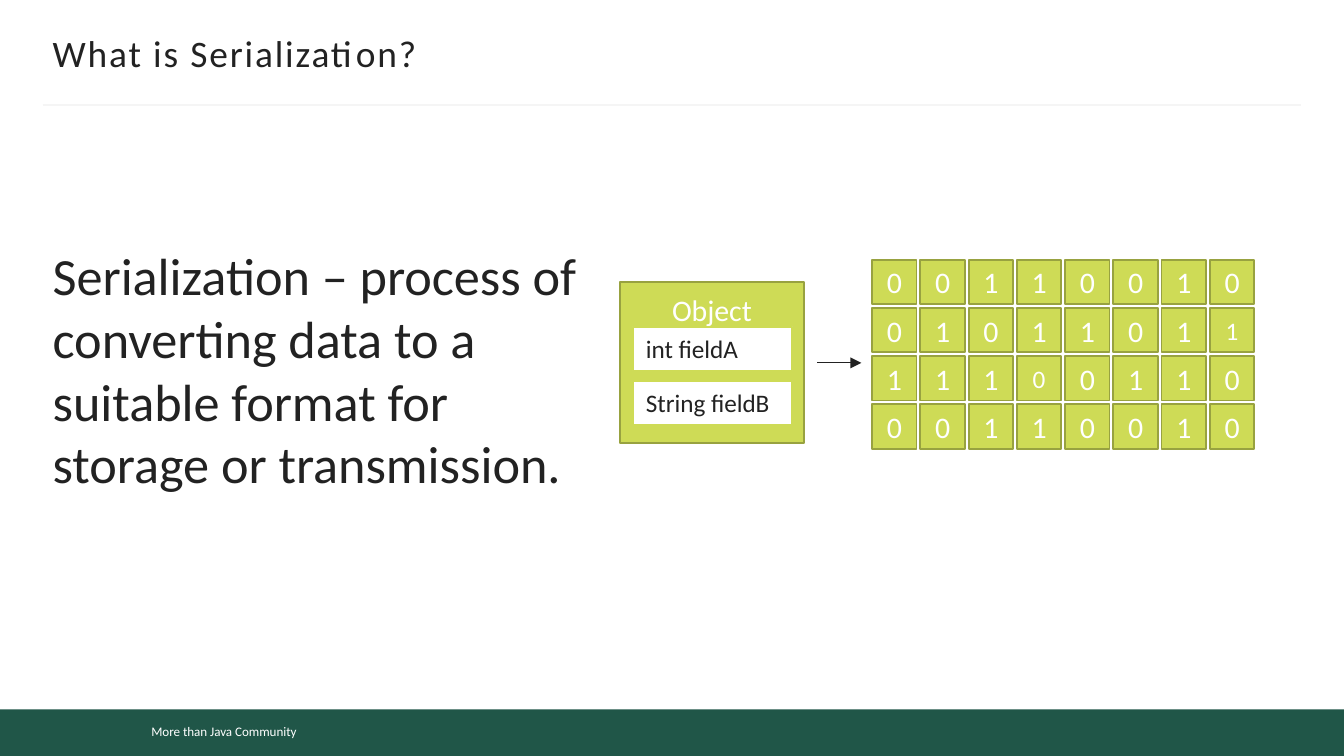
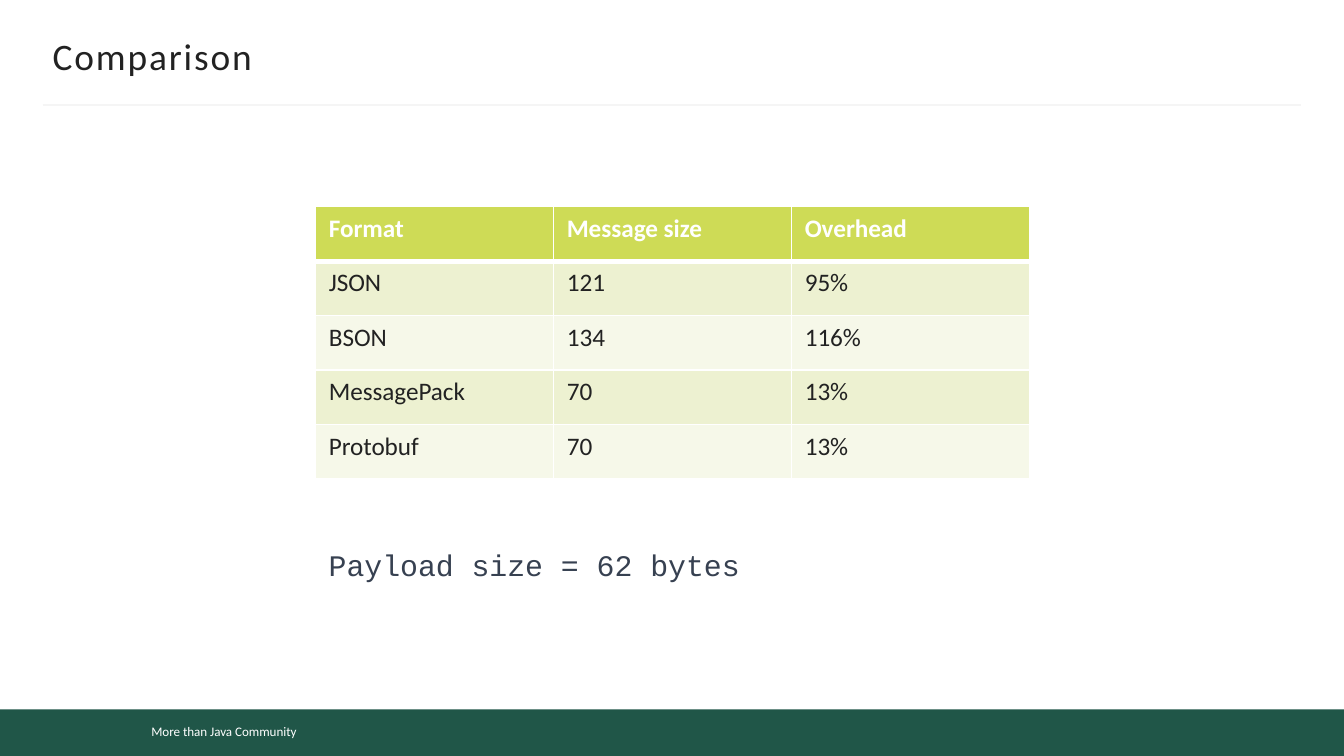
from dataclasses import dataclass

from lxml import etree
from pptx import Presentation
from pptx.dml.color import RGBColor
from pptx.enum.shapes import MSO_CONNECTOR, MSO_SHAPE
from pptx.enum.text import MSO_ANCHOR, PP_ALIGN
from pptx.oxml.ns import qn
from pptx.util import Pt

RECTANGLE = MSO_SHAPE.RECTANGLE
STRAIGHT = MSO_CONNECTOR.STRAIGHT
TOP, MIDDLE = MSO_ANCHOR.TOP, MSO_ANCHOR.MIDDLE
LEFT, CENTER = PP_ALIGN.LEFT, PP_ALIGN.CENTER


@dataclass(frozen=True)
class Theme:
    font: str = "Calibri"
    code_font: str = "Courier New"
    ink: str = "222222"
    white: str = "FFFFFF"
    green: str = "205648"
    lime: str = "CEDB56"
    olive: str = "98A240"
    rule: str = "F5F5F5"
    slate: str = "374151"
    bands: tuple[str, str] = ("EDF1D1", "F6F8E9")
    body_size: float = 28
    title_size: float = 20
    label_size: float = 16
    small_size: float = 13.5
    footer_size: float = 7


THEME = Theme()


@dataclass(frozen=True)
class Box:
    left: float
    top: float
    width: float
    height: float

    def lengths(self) -> tuple:
        return Pt(self.left), Pt(self.top), Pt(self.width), Pt(self.height)


@dataclass(frozen=True)
class TextStyle:
    size: float
    color: str = THEME.ink
    font: str = THEME.font
    align: PP_ALIGN = LEFT
    anchor: MSO_ANCHOR = TOP
    inset_x: float = 7.2
    inset_y: float = 3.6
    wrap: bool = True
    bold: bool = False


TITLE = TextStyle(THEME.title_size, anchor=MIDDLE, inset_x=0, wrap=False)
BODY = TextStyle(THEME.body_size, inset_x=0, inset_y=0)
OBJECT = TextStyle(THEME.label_size, THEME.white, align=CENTER, inset_y=5)
FIELD = TextStyle(THEME.small_size, anchor=MIDDLE)
BIT = TextStyle(THEME.label_size, THEME.white, align=CENTER, anchor=MIDDLE)
SMALL_BIT = TextStyle(THEME.small_size, THEME.white, align=CENTER, anchor=MIDDLE)
HEADER_CELL = TextStyle(THEME.small_size, THEME.white, bold=True)
BODY_CELL = TextStyle(THEME.small_size)
PAYLOAD = TextStyle(THEME.label_size, THEME.slate, THEME.code_font)
FOOTER = TextStyle(THEME.footer_size, THEME.white)

BIT_ROWS = ("00110010", "01011011", "11100110", "00110010")
SMALL_BITS = {(1, 7), (2, 3)}
BIT_GRID = Box(467.2, 139.1, 23.8, 23.8)
BIT_PITCH = 25.85

FIELDS = ("int fieldA", "String fieldB")
FIELD_BOX = Box(339, 175, 85.5, 23.5)
FIELD_PITCH = 29

COMPARISON = (
    ("Format", "Message size", "Overhead"),
    ("JSON", "121", "95%"),
    ("BSON", "134", "116%"),
    ("MessagePack", "70", "13%"),
    ("Protobuf", "70", "13%"),
)
COMPARISON_BOX = Box(169, 110.7, 382.5, 146)


def rgb(color: str) -> RGBColor:
    return RGBColor.from_string(color)


def style_paragraph(paragraph, style: TextStyle) -> None:
    paragraph.alignment = style.align
    paragraph.font.name = style.font
    paragraph.font.size = Pt(style.size)
    paragraph.font.bold = style.bold
    paragraph.font.color.rgb = rgb(style.color)


def write_text(shape, text: str, style: TextStyle):
    frame = shape.text_frame
    frame.word_wrap = style.wrap
    frame.vertical_anchor = style.anchor
    frame.margin_left = frame.margin_right = Pt(style.inset_x)
    frame.margin_top = frame.margin_bottom = Pt(style.inset_y)
    paragraph = frame.paragraphs[0]
    paragraph.text = text
    style_paragraph(paragraph, style)
    return paragraph


def add_text(slide, box: Box, text: str, style: TextStyle):
    return write_text(slide.shapes.add_textbox(*box.lengths()), text, style)


def add_rectangle(slide, box: Box, fill: str, line: str | None = None):
    shape = slide.shapes.add_shape(RECTANGLE, *box.lengths())
    shape.shadow.inherit = False
    shape.fill.solid()
    shape.fill.fore_color.rgb = rgb(fill)
    if line:
        shape.line.color.rgb = rgb(line)
        shape.line.width = Pt(1)
    else:
        shape.line.fill.background()
    return shape


def add_line(slide, left: float, right: float, top: float, color: str,
             width: float, arrow: bool = False) -> None:
    connector = slide.shapes.add_connector(
        STRAIGHT, Pt(left), Pt(top), Pt(right), Pt(top))
    connector.line.color.rgb = rgb(color)
    connector.line.width = Pt(width)
    if arrow:
        etree.SubElement(connector.line._get_or_add_ln(), qn("a:tailEnd"),
                         type="triangle")
    etree.SubElement(connector._element.spPr, qn("a:effectLst"))


def add_cell_borders(cell, top: float, bottom: float) -> None:
    properties = cell._tc.get_or_add_tcPr()
    for side, width in (("L", 1), ("R", 1), ("T", top), ("B", bottom)):
        line = etree.SubElement(properties, qn(f"a:ln{side}"), w=str(Pt(width)))
        fill = etree.SubElement(line, qn("a:solidFill"))
        etree.SubElement(fill, qn("a:srgbClr"), val=THEME.white)


def add_base_slide(presentation, title: str, title_top: float):
    slide = presentation.slides.add_slide(presentation.slide_layouts[6])
    slide.background.fill.solid()
    slide.background.fill.fore_color.rgb = rgb(THEME.white)
    add_rectangle(slide, Box(0, 380, 720, 25), THEME.green)
    footer = add_rectangle(slide, Box(74, 384, 191, 16), THEME.green)
    write_text(footer, "More than Java Community", FOOTER)
    add_line(slide, 23, 697, 56.3, THEME.rule, 1.5)
    paragraph = add_text(slide, Box(28.2, title_top, 664, 24), title, TITLE)
    paragraph.runs[0].font._element.set("spc", "100")
    return slide


def add_object(slide) -> None:
    box = add_rectangle(slide, Box(332, 151.2, 98.8, 86.4), THEME.lime, THEME.olive)
    write_text(box, "Object", OBJECT)
    for index, name in enumerate(FIELDS):
        place = Box(FIELD_BOX.left, FIELD_BOX.top + index * FIELD_PITCH,
                    FIELD_BOX.width, FIELD_BOX.height)
        write_text(add_rectangle(slide, place, THEME.white, THEME.lime), name, FIELD)


def add_bits(slide) -> None:
    for row, bits in enumerate(BIT_ROWS):
        for column, bit in enumerate(bits):
            place = Box(BIT_GRID.left + column * BIT_PITCH,
                        BIT_GRID.top + row * BIT_PITCH,
                        BIT_GRID.width, BIT_GRID.height)
            style = SMALL_BIT if (row, column) in SMALL_BITS else BIT
            square = add_rectangle(slide, place, THEME.lime, THEME.olive)
            write_text(square, bit, style)


def add_comparison_table(slide) -> None:
    table = slide.shapes.add_table(
        len(COMPARISON), len(COMPARISON[0]), *COMPARISON_BOX.lengths()).table
    for row, values in enumerate(COMPARISON):
        for column, value in enumerate(values):
            cell = table.cell(row, column)
            add_cell_borders(cell, 3 if row == 1 else 1, 3 if row == 0 else 1)
            cell.fill.solid()
            fill = THEME.bands[(row - 1) % 2] if row else THEME.lime
            cell.fill.fore_color.rgb = rgb(fill)
            cell.text = value
            style = BODY_CELL if row else HEADER_CELL
            style_paragraph(cell.text_frame.paragraphs[0], style)


def build_serialization_slide(presentation) -> None:
    slide = add_base_slide(presentation, "What is Serialization?", 16)
    paragraph = add_text(
        slide, Box(28.2, 130.3, 294.5, 137.5),
        "Serialization – process of converting data to a suitable format "
        "for storage or transmission.", BODY)
    paragraph.space_before = Pt(2.6)
    paragraph.space_after = Pt(3)
    add_object(slide)
    add_line(slide, 437.8, 461.5, 194.4, THEME.ink, 0.5, arrow=True)
    add_bits(slide)


def build_comparison_slide(presentation) -> None:
    slide = add_base_slide(presentation, "Comparison", 18)
    add_comparison_table(slide)
    add_text(slide, Box(169, 289.5, 542, 26.6), "Payload size = 62 bytes", PAYLOAD)


def main() -> None:
    presentation = Presentation()
    presentation.slide_width = Pt(720)
    presentation.slide_height = Pt(405)
    build_serialization_slide(presentation)
    build_comparison_slide(presentation)
    presentation.save("out.pptx")


if __name__ == "__main__":
    main()
